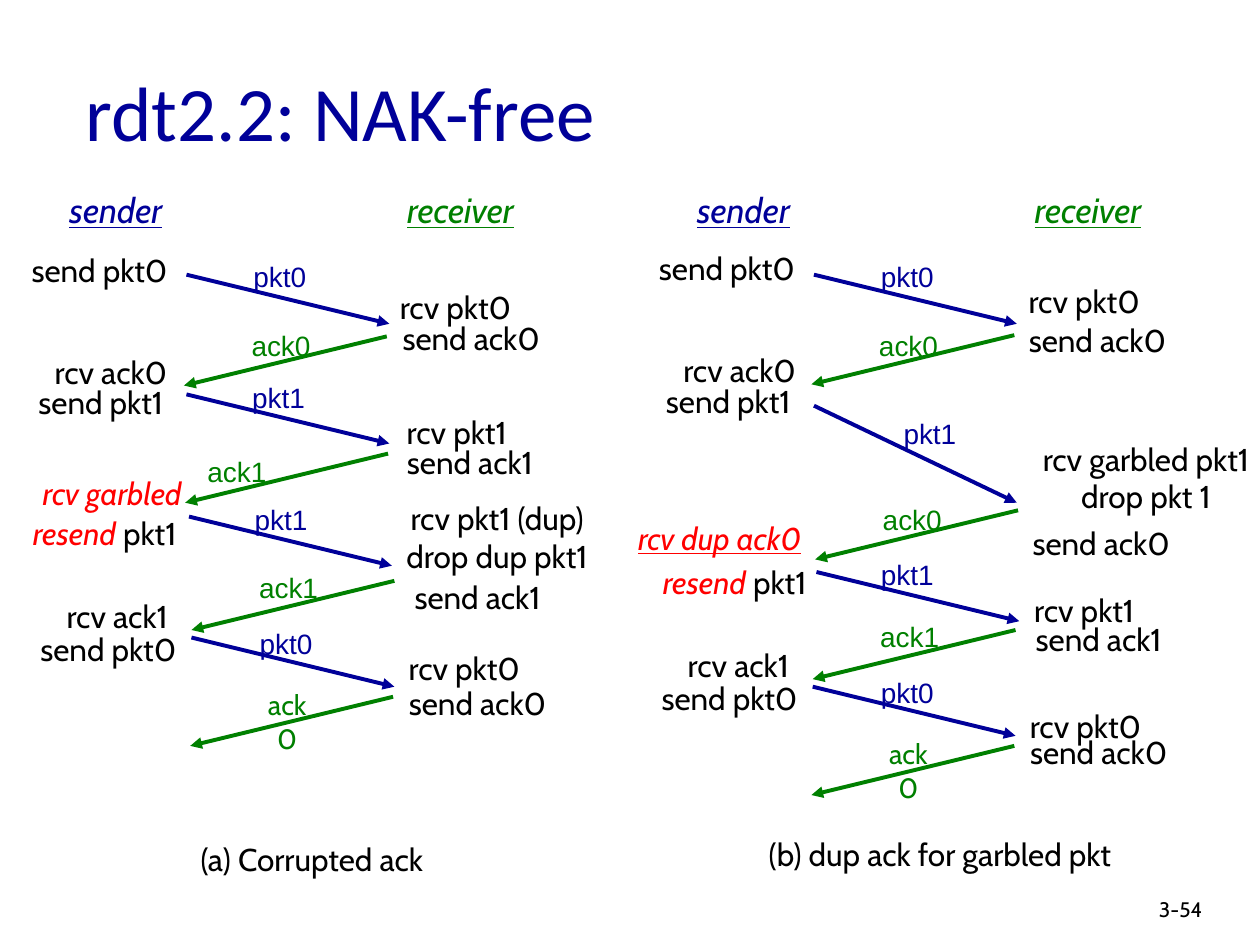
from dataclasses import dataclass

import pptx
import pptx.dml.color
import pptx.enum.shapes
import pptx.enum.text
import pptx.oxml.ns
import pptx.util
from lxml import etree
from pptx.util import Inches

Align = pptx.enum.text.PP_ALIGN


@dataclass(frozen=True)
class Theme:
    packet: str = "000099"
    ack: str = "008000"
    alert: str = "FF0000"
    ink: str = "000000"
    body_font: str = "Cabin"
    label_font: str = "Arial"
    title_font: str = "Calibri"
    title_size: int = 44
    heading_size: int = 20
    body_size: int = 18
    label_size: int = 16
    number_size: int = 12
    line_width: float = 2.25


THEME = Theme()
STEP_WIDTHS = {"rcv pkt": 1.09, "rcv ack": 1.12, "send pkt": 1.28, "send ack": 1.32}
LABEL_WIDTHS = {"pkt": 0.62, "ack": 0.68}
FLIGHT_WIDTH, FLIGHT_DROP = 1.61, 0.39


def add_run(paragraph, text, color=THEME.ink, size=THEME.body_size,
            font=THEME.body_font, italic=False, underline=False):
    run = paragraph.add_run()
    run.text = text
    run.font.name = font
    run.font.size = pptx.util.Pt(size)
    run.font.italic = italic
    run.font.underline = underline
    run.font.color.rgb = pptx.dml.color.RGBColor.from_string(color)


def add_text(slide, left, top, width, height, lines, align=Align.CENTER,
             spacing=None, wrap=False):
    box = slide.shapes.add_textbox(left, top, width, height)
    frame = box.text_frame
    frame.word_wrap = wrap
    for index, runs in enumerate(lines):
        paragraph = frame.add_paragraph() if index else frame.paragraphs[0]
        paragraph.alignment = align
        if spacing:
            paragraph.line_spacing = spacing
        for text, style in runs:
            add_run(paragraph, text, **style)


def add_arrow(slide, start_x, start_y, end_x, end_y, color):
    arrow = slide.shapes.add_connector(
        pptx.enum.shapes.MSO_CONNECTOR.STRAIGHT, start_x, start_y, end_x, end_y)
    arrow.line.width = pptx.util.Pt(THEME.line_width)
    arrow.line.color.rgb = pptx.dml.color.RGBColor.from_string(color)
    qn = pptx.oxml.ns.qn
    etree.SubElement(arrow.line._get_or_add_ln(), qn("a:tailEnd"), type="triangle")
    etree.SubElement(arrow._element.spPr, qn("a:effectLst"))


def add_message(slide, left, top, label, x, y, label_x, label_y,
                drop=FLIGHT_DROP, last=False):
    is_packet = label.startswith("pkt")
    color = THEME.packet if is_packet else THEME.ack
    run_x = FLIGHT_WIDTH if is_packet else -FLIGHT_WIDTH
    add_arrow(slide, left + Inches(x), top + Inches(y),
              left + Inches(x + run_x), top + Inches(y + drop), color)
    style = {"color": color, "size": THEME.label_size,
             "font": THEME.body_font if last else THEME.label_font}
    width = 0.66 if last else LABEL_WIDTHS[label[:-1]]
    add_text(slide, left + Inches(label_x), top + Inches(label_y),
             Inches(width), Inches(0.37), [[(label, style)]], wrap=last)


def add_exchange(slide, left, top, exchange):
    for heading, x, width, color in (("sender", 0.41, 1.02, THEME.packet),
                                     ("receiver", 3.07, 1.17, THEME.ack)):
        style = {"color": color, "size": THEME.heading_size,
                 "italic": True, "underline": True}
        add_text(slide, left + Inches(x), top, Inches(width), Inches(0.43),
                 [[(heading, style)]])
    for step, x, y in exchange["steps"]:
        add_text(slide, left + Inches(x), top + Inches(y),
                 Inches(STEP_WIDTHS[step[:-1]]), Inches(0.4), [[(step, {})]])
    for message in exchange["messages"]:
        add_message(slide, left, top, *message)
    discard, x, y, width = exchange["discard"]
    add_text(slide, left + Inches(x), top + Inches(y), Inches(width), Inches(0.71),
             [[(line, {})] for line in discard])
    for runs, x, y, width in exchange["alerts"]:
        add_text(slide, left + Inches(x), top + Inches(y), Inches(width),
                 Inches(0.33), [runs], Align.RIGHT, 0.75)
    caption, x, y, width = exchange["caption"]
    add_text(slide, left + Inches(x), top + Inches(y), Inches(width), Inches(0.4),
             [[(caption, {})]])


def add_title(slide, left, top, width, height):
    title = slide.shapes.title
    title.left, title.top, title.width, title.height = left, top, width, height
    frame = title.text_frame
    frame.vertical_anchor = pptx.enum.text.MSO_ANCHOR.MIDDLE
    paragraph = frame.paragraphs[0]
    paragraph.alignment = Align.LEFT
    add_run(paragraph, "rdt2.2: NAK-free", THEME.packet, THEME.title_size,
            THEME.title_font)


ALERT = {"color": THEME.alert, "italic": True}
RESEND = [("resend ", ALERT), ("pkt1", {})]

CORRUPTED_ACK = {
    "steps": [
        ("send pkt0", 0.15, 0.49), ("rcv ack0", 0.32, 1.3), ("send pkt1", 0.16, 1.54),
        ("rcv ack1", 0.37, 3.24), ("send pkt0", 0.22, 3.5),
        ("rcv pkt0", 3.07, 0.79), ("send ack0", 3.08, 1.03),
        ("rcv pkt1", 3.08, 1.78), ("send ack1", 3.07, 2.02),
        ("send ack1", 3.13, 3.09), ("rcv pkt0", 3.14, 3.65), ("send ack0", 3.13, 3.93),
    ],
    "messages": [
        ("pkt0", 1.48, 0.73, 1.91, 0.56), ("ack0", 3.07, 1.22, 1.89, 1.11),
        ("pkt1", 1.48, 1.68, 1.9, 1.52), ("ack1", 3.08, 2.15, 1.54, 2.11),
        ("pkt1", 1.5, 2.65, 1.92, 2.49), ("ack1", 3.13, 3.16, 1.95, 3.03),
        ("pkt0", 1.52, 3.61, 1.96, 3.47),
        ("ack0", 3.12, 4.08, 1.95, 3.96, FLIGHT_DROP, True),
    ],
    "discard": (("rcv pkt1 (dup)", "drop dup pkt1"), 3.05, 2.46, 1.79),
    "alerts": [([("rcv garbled", ALERT)], 0.22, 2.33, 1.32),
               (RESEND, 0.16, 2.65, 1.34)],
    "caption": ("(a) Corrupted ack", 1.39, 5.17, 2.17),
}

GARBLED_PACKET = {
    "steps": [
        ("send pkt0", 0.15, 0.48), ("rcv ack0", 0.33, 1.29), ("send pkt1", 0.16, 1.53),
        ("rcv ack1", 0.32, 3.63), ("send pkt0", 0.17, 3.89),
        ("rcv pkt0", 3.08, 0.74), ("send ack0", 3.07, 1.05), ("send ack0", 3.1, 2.66),
        ("rcv pkt1", 3.08, 3.19), ("send ack1", 3.08, 3.42),
        ("rcv pkt0", 3.09, 4.11), ("send ack0", 3.08, 4.32),
    ],
    "messages": [
        ("pkt0", 1.48, 0.73, 1.91, 0.56), ("ack0", 3.07, 1.21, 1.89, 1.11),
        ("pkt1", 1.48, 1.77, 2.09, 1.81, 0.77), ("ack0", 3.1, 2.6, 1.92, 2.49),
        ("pkt1", 1.5, 3.09, 1.91, 2.93), ("ack1", 3.08, 3.55, 1.9, 3.42),
        ("pkt0", 1.47, 4, 1.91, 3.86),
        ("ack0", 3.07, 4.47, 1.9, 4.35, FLIGHT_DROP, True),
    ],
    "discard": (("rcv garbled pkt1", "drop pkt 1"), 3.07, 1.99, 2.09),
    "alerts": [([("rcv dup ack0", {**ALERT, "underline": True})], -0.15, 2.69, 1.63),
               (RESEND, 0.18, 3.04, 1.34)],
    "caption": ("(b) dup ack for garbled pkt", 0.87, 5.13, 3.22),
}


def main():
    deck = pptx.Presentation()
    deck.slide_width, deck.slide_height = Inches(10), Inches(7.5)
    slide = deck.slides.add_slide(deck.slide_layouts.get_by_name("Title Only"))
    add_title(slide, Inches(0.58), Inches(0.25), Inches(8.5), Inches(1.25))
    add_exchange(slide, Inches(0), Inches(1.45), CORRUPTED_ACK)
    add_exchange(slide, Inches(4.98), Inches(1.45), GARBLED_PACKET)
    add_text(slide, Inches(9.1), Inches(7.07), Inches(0.74), Inches(0.3),
             [[("3-54", {"size": THEME.number_size})]], Align.LEFT, wrap=True)
    deck.save("out.pptx")


if __name__ == "__main__":
    main()
